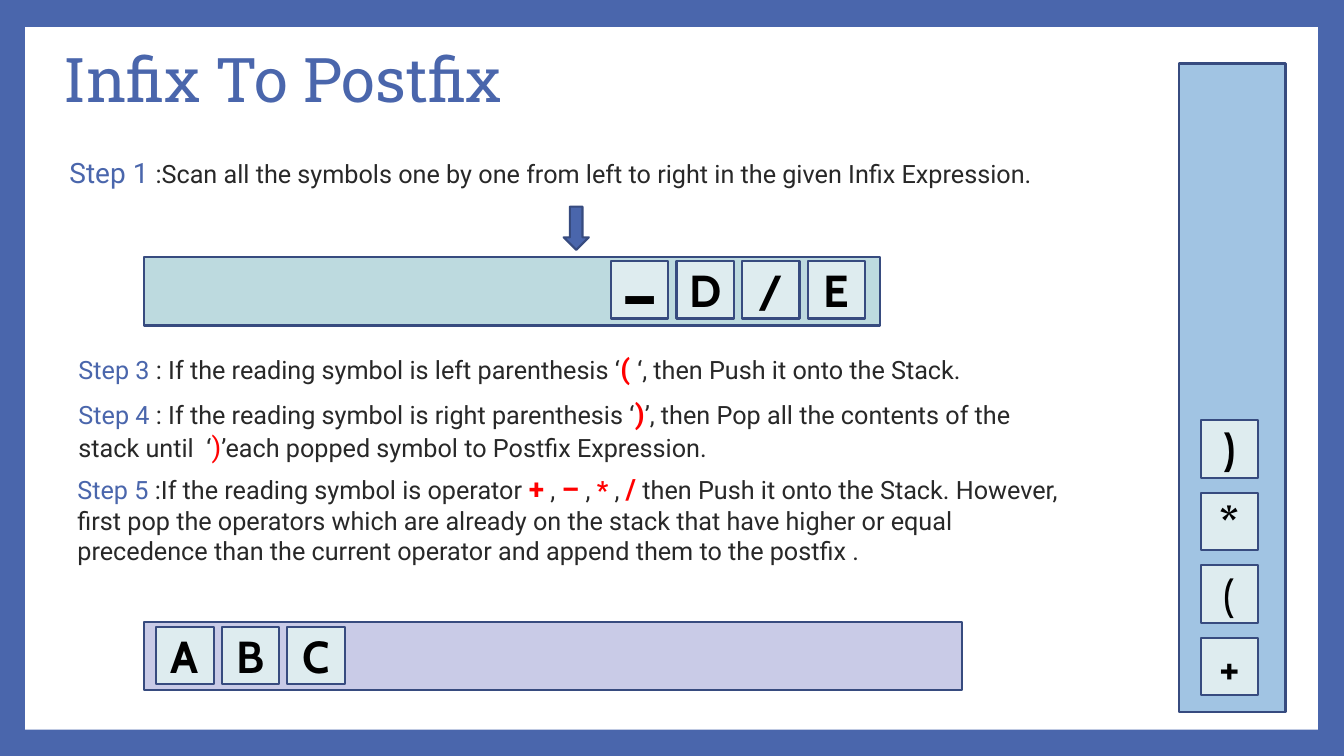
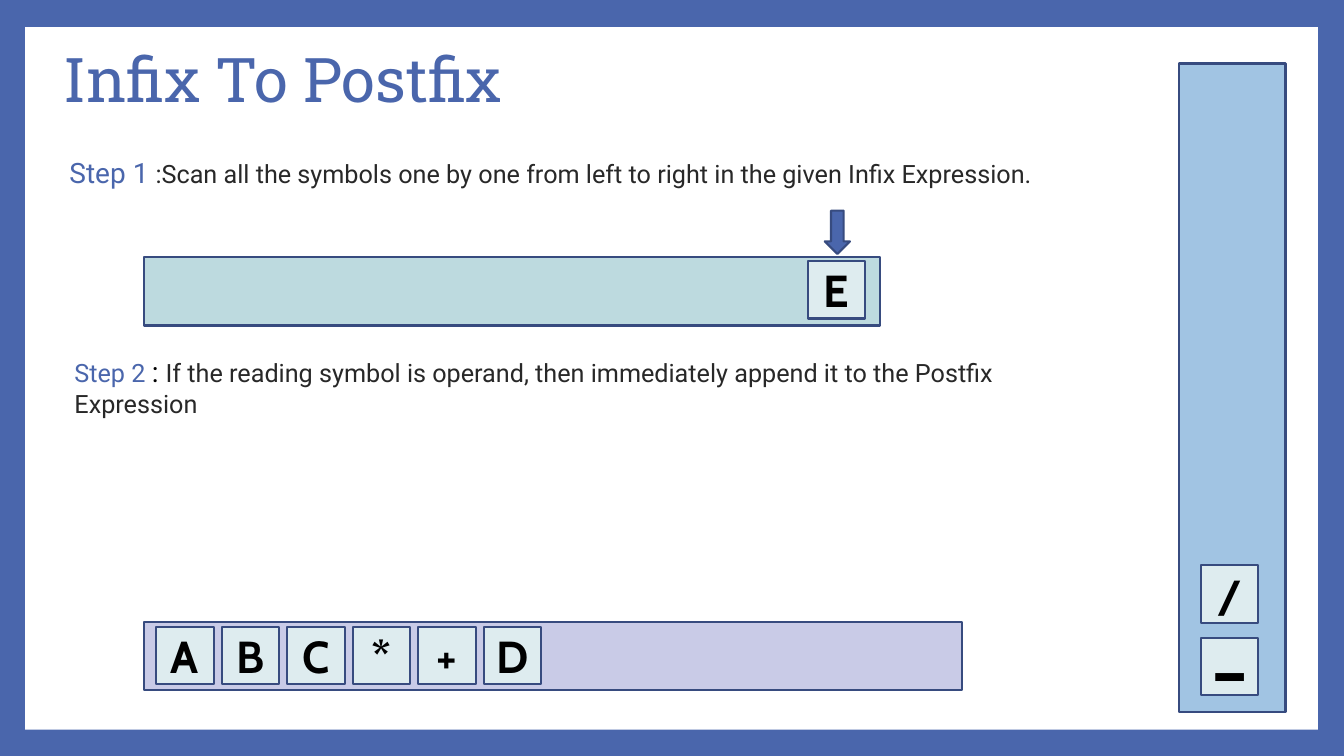
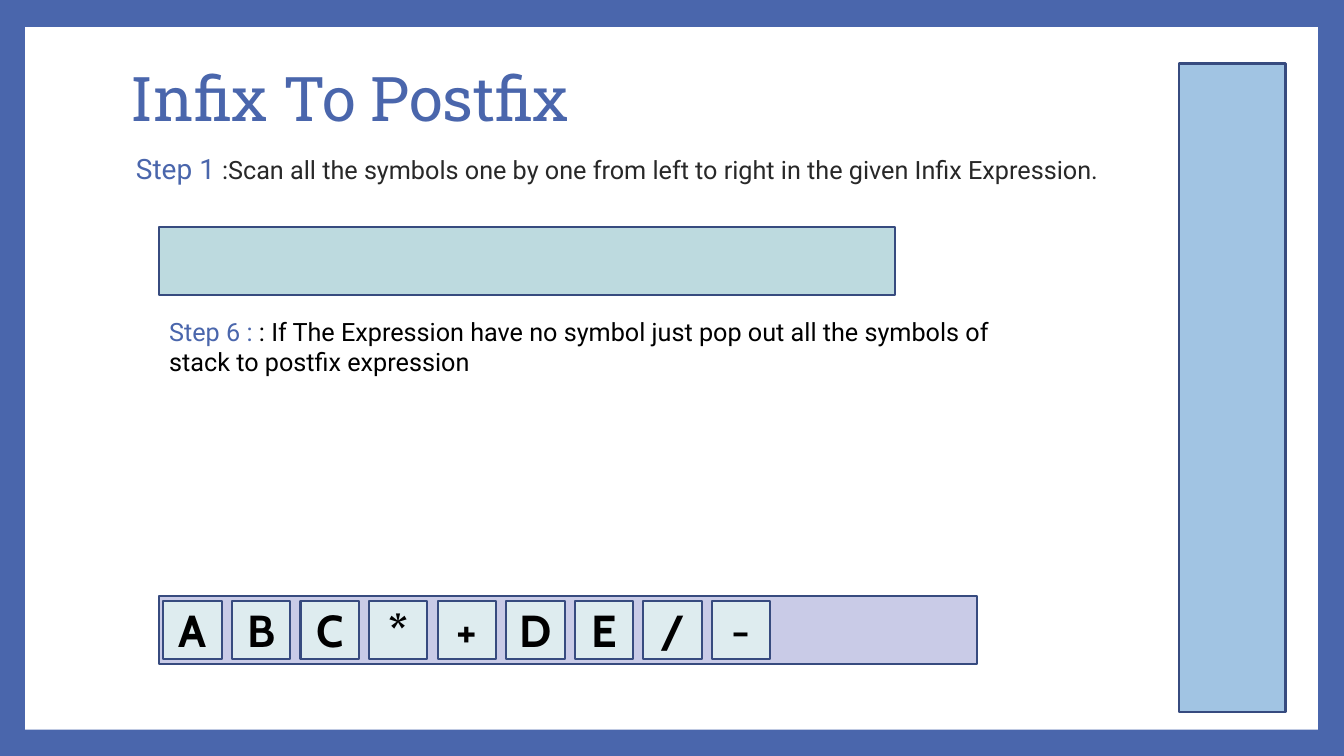
from pptx import Presentation
from pptx.dml.color import RGBColor
from pptx.enum.shapes import MSO_SHAPE
from pptx.enum.text import MSO_ANCHOR, PP_ALIGN
from pptx.util import Inches, Pt

RECTANGLE, DOWN_ARROW = MSO_SHAPE.RECTANGLE, MSO_SHAPE.DOWN_ARROW
TOP, MIDDLE = MSO_ANCHOR.TOP, MSO_ANCHOR.MIDDLE
CENTER = PP_ALIGN.CENTER

COLORS = {
    "frame": "4A66AC", "page": "FFFFFF", "edge": "374B7F", "stack": "A1C4E3",
    "postfix": "C9CBE7", "infix": "BDDADF", "tile": "DEECEF",
    "accent": "4A66AC", "body": "282828", "black": "000000", "red": "FF0000",
}
TITLE = "Infix To Postfix"
TITLE_FONT, BODY_FONT, TILE_FONT = "Roboto Slab", "Roboto", "Cabin"

PAGE = (0.25, 0.27, 12.82, 6.97)
STACK = (11.69, 0.63, 1.06, 6.43)
INFIX_SIZE = (7.3, 0.68)
POSTFIX_SIZE = (8.11, 0.68)
ARROW_SIZE = (0.25, 0.43)
STACK_LEFT, STACK_BOTTOM_TILE, STACK_PITCH = 11.91, 6.33, 0.72
INFIX_LAST_TILE, INFIX_PITCH = 8.01, 0.65

RUN_STYLES = {
    "step": (18, "accent", False),
    "lead": (20, "accent", False),
    "body": (18, "body", False),
    "black": (18, "black", False),
    "colon": (20, "black", False),
    "symbol": (20, "red", True),
    "small symbol": (18, "red", True),
    "light symbol": (20, "red", False),
}
LONG_MINUS = ("-", 66, False)
SHORT_MINUS = ("-", 32, False)
LIGHT_PAREN = ("(", 32, False)

STEP_1 = [("Step 1 ", "lead"),
          (":Scan all the symbols one by one from left to right in the given Infix Expression.", "body")]
STEP_2 = [("Step 2 ", "step"), (": ", "colon"),
          ("If the reading symbol is operand, then immediately append it to the Postfix Expression", "body")]
STEP_3 = [("Step 3 ", "step"), (": If the reading symbol is left parenthesis ‘", "body"),
          ("( ", "symbol"), ("‘, then Push it onto the Stack.", "body")]
STEP_4 = [("Step 4 ", "step"), (": If the reading symbol is right parenthesis ‘", "body"),
          (")", "symbol"), ("’, then Pop all the contents of the stack until  ‘", "body"),
          (")", "light symbol"), ("’each popped symbol to Postfix Expression.", "body")]
STEP_5 = [("Step 5 ", "step"), (":If the reading symbol is operator ", "body"),
          ("+", "symbol"), (" , ", "body"), ("–", "symbol"), (" , ", "body"),
          ("* ", "small symbol"), (", ", "body"), ("/", "symbol"),
          (" then Push it onto the Stack. However, first pop the operators which are already on "
           "the stack that have higher or equal precedence than the current operator and append "
           "them to the postfix .", "body")]
STEP_6 = [("Step 6 : ", "step"),
          (": If The Expression have no symbol just pop out all the symbols of stack "
           "to postfix expression", "black")]

SLIDES = [
    {
        "title": (0.53, 0.08, 10.8, 1.48),
        "infix": (1.43, 2.55), "infix_tiles": [LONG_MINUS, "D", "/", "E"],
        "arrow": (5.59, 2.05),
        "postfix": (1.43, 6.17), "postfix_tiles": "ABC",
        "first_tile": (1.55, 6.22), "pitch": 0.65, "tile": 0.57,
        "stack_tiles": ["+", LIGHT_PAREN, "*", ")"],
        "step_anchor": TOP,
        "steps": [(STEP_1, (0.59, 1.49, 10.63, 0.44)), (STEP_3, (0.68, 3.44, 9.91, 0.44)),
                  (STEP_4, (0.68, 3.88, 10.08, 0.77)), (STEP_5, (0.67, 4.63, 10.03, 1.04))],
    },
    {
        "title": (0.53, 0.08, 10.8, 1.48),
        "infix": (1.43, 2.55), "infix_tiles": "E",
        "arrow": (8.18, 2.09),
        "postfix": (1.43, 6.17), "postfix_tiles": "ABC*+D",
        "first_tile": (1.55, 6.22), "pitch": 0.65, "tile": 0.57,
        "stack_tiles": [LONG_MINUS, "/"],
        "step_anchor": TOP,
        "steps": [(STEP_1, (0.59, 1.49, 10.63, 0.44)), (STEP_2, (0.64, 3.47, 9.69, 0.74))],
    },
    {
        "title": (1.2, 0.27, 10.8, 1.48),
        "infix": (1.58, 2.25), "infix_tiles": "",
        "arrow": None,
        "postfix": (1.58, 5.91), "postfix_tiles": [*"ABC*+DE/", SHORT_MINUS],
        "first_tile": (1.62, 5.96), "pitch": 0.68, "tile": 0.58,
        "stack_tiles": [],
        "step_anchor": MIDDLE,
        "steps": [(STEP_1, (1.25, 1.4, 9.97, 0.54)), (STEP_6, (1.58, 3.12, 8.62, 0.63))],
    },
]


def rgb(name):
    return RGBColor.from_string(COLORS[name])


def add_run(paragraph, text, font, size, color, bold=False):
    run = paragraph.add_run()
    run.text = text
    run.font.name = font
    run.font.size = Pt(size)
    run.font.bold = bold
    run.font.color.rgb = rgb(color)


def add_block(slide, box, fill, edge="edge", preset=RECTANGLE):
    block = slide.shapes.add_shape(preset, *map(Inches, box))
    block.shadow.inherit = False
    block.fill.solid()
    block.fill.fore_color.rgb = rgb(fill)
    if edge:
        block.line.color.rgb = rgb(edge)
        block.line.width = Pt(1.5)
    else:
        block.line.fill.background()
    return block


def add_tile(slide, symbol, left, top, side):
    text, size, bold = (symbol, 32, True) if isinstance(symbol, str) else symbol
    frame = add_block(slide, (left, top, side, side), "tile").text_frame
    frame.vertical_anchor = MIDDLE
    paragraph = frame.paragraphs[0]
    paragraph.alignment = CENTER
    add_run(paragraph, text, TILE_FONT, size, "black", bold)


def add_text(slide, box, anchor):
    frame = slide.shapes.add_textbox(*map(Inches, box)).text_frame
    frame.word_wrap = True
    frame.vertical_anchor = anchor
    return frame.paragraphs[0]


def add_base(slide, title_box):
    slide.background.fill.solid()
    slide.background.fill.fore_color.rgb = rgb("frame")
    add_block(slide, PAGE, "page", None)
    add_block(slide, STACK, "stack")
    heading = add_text(slide, title_box, MIDDLE)
    heading.line_spacing = 0.9
    add_run(heading, TITLE, TITLE_FONT, 44, "accent")


def build_slide(slide, content):
    add_base(slide, content["title"])
    add_block(slide, content["infix"] + INFIX_SIZE, "infix")
    add_block(slide, content["postfix"] + POSTFIX_SIZE, "postfix")
    side = content["tile"]

    infix_top = content["infix"][1] + 0.04
    for i, symbol in enumerate(reversed(content["infix_tiles"])):
        add_tile(slide, symbol, INFIX_LAST_TILE - i * INFIX_PITCH, infix_top, side)

    left, top = content["first_tile"]
    for i, symbol in enumerate(content["postfix_tiles"]):
        add_tile(slide, symbol, left + i * content["pitch"], top, side)

    for i, symbol in enumerate(content["stack_tiles"]):
        add_tile(slide, symbol, STACK_LEFT, STACK_BOTTOM_TILE - i * STACK_PITCH, side)

    if content["arrow"]:
        add_block(slide, content["arrow"] + ARROW_SIZE, "accent", preset=DOWN_ARROW)

    for step, box in content["steps"]:
        paragraph = add_text(slide, box, content["step_anchor"])
        for text, style in step:
            add_run(paragraph, text, BODY_FONT, *RUN_STYLES[style])


def main():
    deck = Presentation()
    deck.slide_width, deck.slide_height = Inches(13.33), Inches(7.5)
    blank = deck.slide_layouts[6]
    for content in SLIDES:
        build_slide(deck.slides.add_slide(blank), content)
    deck.save("out.pptx")


if __name__ == "__main__":
    main()
